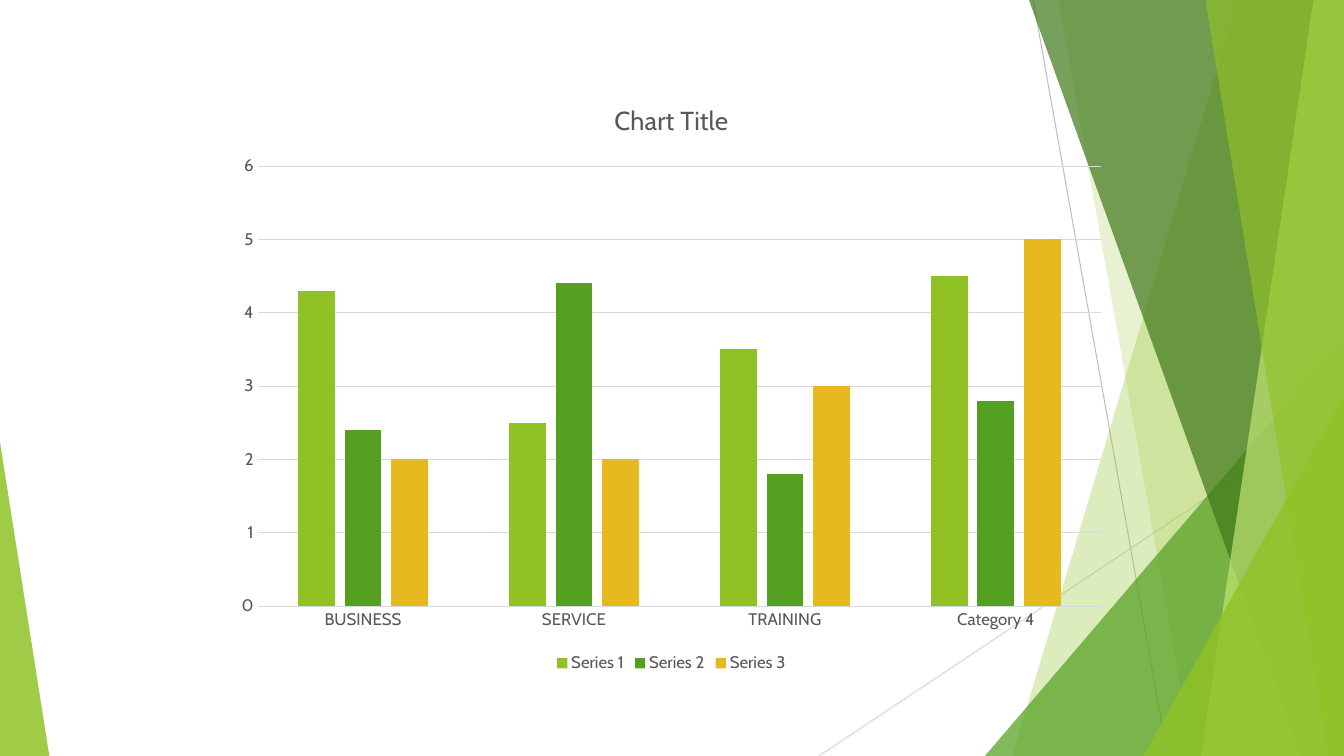
from dataclasses import dataclass
from typing import Any

from lxml.etree import SubElement
from pptx import Presentation
from pptx.chart.data import CategoryChartData
from pptx.dml.color import RGBColor
from pptx.enum.chart import XL_CHART_TYPE as ChartType
from pptx.enum.chart import XL_LEGEND_POSITION as LegendPos
from pptx.enum.chart import XL_TICK_MARK as Tick
from pptx.enum.shapes import MSO_CONNECTOR as Connector
from pptx.enum.shapes import MSO_SHAPE as Shape
from pptx.oxml import parse_xml
from pptx.oxml.ns import nsdecls, qn
from pptx.util import Emu, Pt

PX = 9525  # EMU in one px
WIDTH, HEIGHT = 1280, 720


@dataclass(frozen=True)
class Theme:
    font: str = "Cabin"
    lime: str = "90C226"
    green: str = "54A021"
    forest: str = "3F7819"
    pale: str = "C0E474"
    gold: str = "E6B91E"
    text: str = "595959"
    rule: str = "D9D9D9"
    dark_rule: str = "BFBFBF"
    title_size: float = 18.6
    label_size: float = 12
    rule_width: float = 0.75


@dataclass(frozen=True)
class Rule:
    start: tuple[int, int]
    end: tuple[int, int]
    color: str


@dataclass(frozen=True)
class Band:
    """A panel reaching the right edge, with a slanted left side."""
    top_x: int
    bottom_x: int
    color: str
    opacity: int


@dataclass(frozen=True)
class Wedge:
    """A right-angled triangle standing on the bottom edge."""
    x: int
    width: int
    height: int
    apex: float
    color: str
    opacity: int


@dataclass(frozen=True)
class Series:
    name: str
    values: tuple[float, ...]
    color: str


T = Theme()

RULES = [
    Rule((984, 0), (1112, HEIGHT), T.dark_rule),
    Rule((WIDTH, 387), (780, HEIGHT), T.rule),
]
PANELS = [
    Band(1179, 964, T.lime, 30),
    Band(1008, 1136, T.lime, 20),
    Wedge(938, 342, 400, 1, T.green, 72),
    Band(980, 1239, T.forest, 70),
    Band(1251, 1144, T.pale, 70),
    Band(1148, 1265, T.lime, 65),
    Wedge(1089, 191, 343, 1, T.lime, 80),
    Wedge(0, 47, 299, 0, T.lime, 85),
]
CATEGORIES = ["BUSINESS", "SERVICE", "TRAINING", "Category 4"]
SERIES = [
    Series("Series 1", (4.3, 2.5, 3.5, 4.5), T.lime),
    Series("Series 2", (2.4, 4.4, 1.8, 2.8), T.green),
    Series("Series 3", (2, 2, 3, 5), T.gold),
]
CHART_BOX = (213, 76, 853, 569)


def px(n: int) -> Emu:
    return Emu(n * PX)


def set_all(target: Any, values: dict[str, Any]) -> None:
    for name, value in values.items():
        setattr(target, name, value)


def style_font(font: Any, size: float) -> None:
    set_all(font, {"name": T.font, "size": Pt(size), "bold": False})
    font.color.rgb = RGBColor.from_string(T.text)


def style_line(line: Any, color: str) -> None:
    line.color.rgb = RGBColor.from_string(color)
    line.width = Pt(T.rule_width)


def style_panel(s: Any, panel: Band | Wedge) -> None:
    s.shadow.inherit = False
    s.line.fill.background()
    s.fill.solid()
    s.fill.fore_color.rgb = RGBColor.from_string(panel.color)
    color = s.fill._xPr.find(qn("a:solidFill"))[0]
    SubElement(color, qn("a:alpha"), val=str(panel.opacity * 1000))


def add_rule(shapes: Any, rule: Rule) -> None:
    ends = [px(n) for n in rule.start + rule.end]
    line = shapes.add_connector(Connector.STRAIGHT, *ends)
    style_line(line.line, rule.color)
    SubElement(line._element.spPr, qn("a:effectLst"))


def add_band(shapes: Any, band: Band) -> None:
    outline = shapes.build_freeform(band.top_x, 0, scale=PX)
    outline.add_line_segments(
        [(WIDTH, 0), (WIDTH, HEIGHT), (band.bottom_x, HEIGHT)], close=True)
    style_panel(outline.convert_to_shape(), band)


def add_wedge(shapes: Any, wedge: Wedge) -> None:
    box = (wedge.x, HEIGHT - wedge.height, wedge.width, wedge.height)
    s = shapes.add_shape(Shape.ISOSCELES_TRIANGLE, *map(px, box))
    s.adjustments[0] = wedge.apex
    style_panel(s, wedge)


def add_column_chart(shapes: Any) -> None:
    data = CategoryChartData()
    data.categories = CATEGORIES
    for series in SERIES:
        data.add_series(series.name, series.values)
    chart = shapes.add_chart(
        ChartType.COLUMN_CLUSTERED, *map(px, CHART_BOX), data).chart
    style_font(chart.font, T.label_size)

    # Clear background, so the panels show through
    chart._chartSpace.find(qn("c:chart")).addnext(parse_xml(
        f'<c:spPr {nsdecls("c", "a")}><a:noFill/>'
        '<a:ln><a:noFill/></a:ln></c:spPr>'))

    # Title and legend
    chart.has_title = True
    tf = chart.chart_title.text_frame
    tf.text = "Chart Title"
    style_font(tf.paragraphs[0].runs[0].font, T.title_size)
    chart.chart_title.include_in_layout = False
    chart.has_legend = True
    set_all(chart.legend,
            {"position": LegendPos.BOTTOM, "include_in_layout": False})
    style_font(chart.legend.font, T.label_size)

    # Axes
    for axis in (chart.category_axis, chart.value_axis):
        set_all(axis, {"major_tick_mark": Tick.NONE,
                       "minor_tick_mark": Tick.NONE})
        style_font(axis.tick_labels.font, T.label_size)
    style_line(chart.category_axis.format.line, T.rule)
    value_axis = chart.value_axis
    set_all(value_axis,
            {"minimum_scale": 0, "maximum_scale": 6, "major_unit": 1})
    value_axis.format.line.fill.background()
    style_line(value_axis.major_gridlines.format.line, T.rule)

    # Columns
    plot = chart.plots[0]
    set_all(plot, {"gap_width": 219, "overlap": -27, "vary_by_categories": False})
    for column, series in zip(plot.series, SERIES):
        column.format.fill.solid()
        column.format.fill.fore_color.rgb = RGBColor.from_string(series.color)


def main() -> None:
    prs = Presentation()
    set_all(prs, {"slide_width": px(WIDTH), "slide_height": px(HEIGHT)})
    shapes = prs.slides.add_slide(prs.slide_layouts[6]).shapes

    # Backdrop, from back to front
    for rule in RULES:
        add_rule(shapes, rule)
    for panel in PANELS:
        if isinstance(panel, Band):
            add_band(shapes, panel)
        else:
            add_wedge(shapes, panel)

    add_column_chart(shapes)
    prs.save("out.pptx")


if __name__ == "__main__":
    main()
